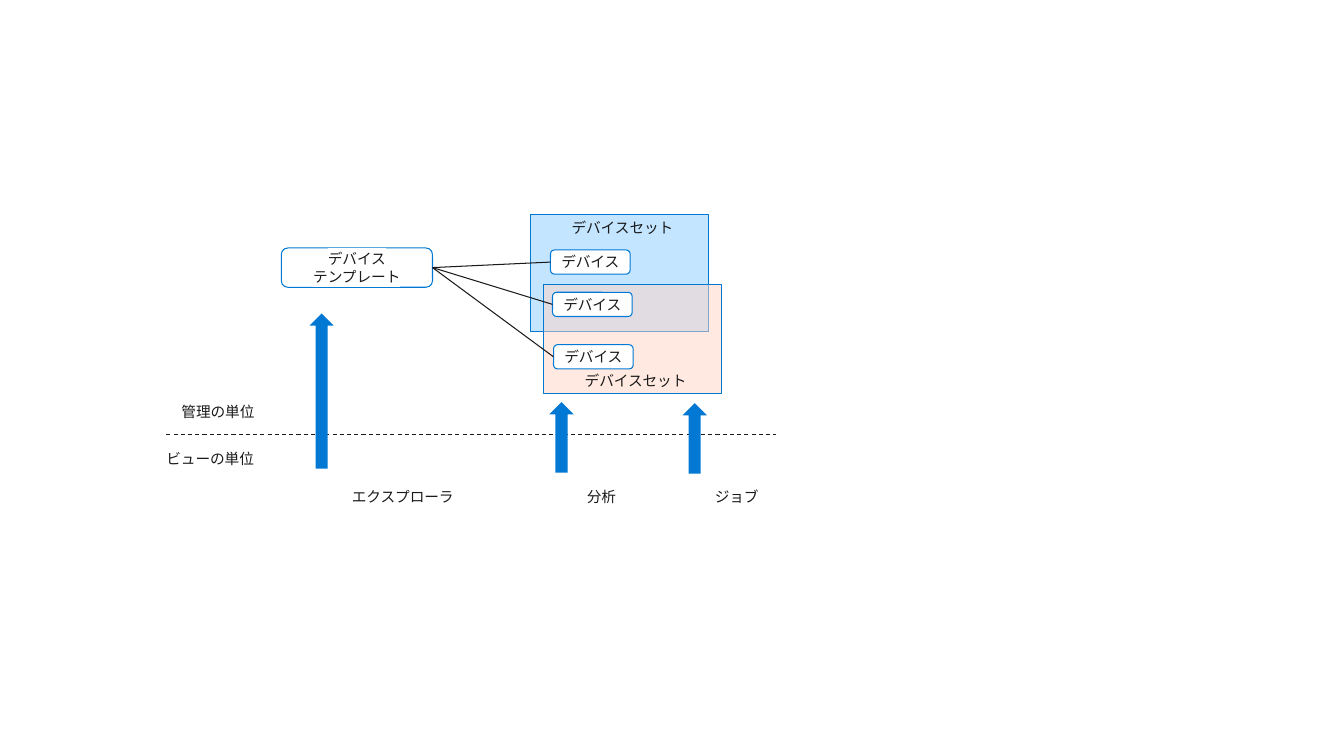
from lxml.etree import SubElement
from pptx import Presentation
from pptx.dml.color import RGBColor
from pptx.enum.dml import MSO_LINE
from pptx.enum.shapes import MSO_CONNECTOR, MSO_SHAPE
from pptx.enum.text import MSO_ANCHOR, MSO_AUTO_SIZE, PP_ALIGN
from pptx.oxml import parse_xml
from pptx.oxml.ns import qn
from pptx.util import Inches, Pt

BLUE, INK, WHITE = "0078D4", "1A1A1A", "FFFFFF"
NS = "http://schemas.openxmlformats.org/drawingml/2006/main"


def color(code):
    return RGBColor.from_string(code)


def write(shape, text, align, anchor, insets, wrap=True, marked=False):
    frame = shape.text_frame
    frame.margin_left, frame.margin_top, frame.margin_right, frame.margin_bottom = map(Inches, insets)
    frame.vertical_anchor, frame.word_wrap = anchor, wrap
    frame.text = text
    frame.paragraphs[0].alignment = align
    for run in frame.paragraphs[0].runs:
        run.font.size = Pt(10.5)
        run.font.color.rgb = color(INK)
        run.font.name = "Lato"
        if marked:
            mark = parse_xml(f'<a:highlight xmlns:a="{NS}"><a:srgbClr val="{WHITE}"/></a:highlight>')
            run.font.fill  # the highlight follows the text fill
            run._r.rPr.find(qn("a:solidFill")).addnext(mark)


def add_box(slide, kind, box, fill=None, line=None):
    shape = slide.shapes.add_shape(kind, *map(Inches, box))
    shape.shadow.inherit = False
    if fill:
        shape.fill.solid()
        shape.fill.fore_color.rgb = color(fill)
    else:
        shape.fill.background()
    if line:
        shape.line.color.rgb = color(line)
        shape.line.width = Pt(0.75)
    else:
        shape.line.fill.background()
    return shape


def add_set(slide, box, fill, anchor, alpha=None):
    shape = add_box(slide, MSO_SHAPE.ROUNDED_RECTANGLE, box, fill, BLUE)
    shape.adjustments[0] = 0
    if alpha:
        tint = shape._element.spPr.find(qn("a:solidFill"))[0]
        SubElement(tint, qn("a:alpha")).set("val", str(alpha * 1000))
    write(shape, "デバイスセット", PP_ALIGN.RIGHT, anchor, (0.04, 0.04, 0.35, 0.04))


def add_node(slide, text, box, fill=None, wrap=False):
    shape = add_box(slide, MSO_SHAPE.ROUNDED_RECTANGLE, box, fill, BLUE)
    write(shape, text, PP_ALIGN.CENTER, MSO_ANCHOR.MIDDLE, (0.2, 0.16, 0.2, 0.16), wrap, True)
    return shape


def add_line(slide, start, end):
    line = slide.shapes.add_connector(MSO_CONNECTOR.STRAIGHT, *map(Inches, start + end))
    line.line.color.rgb = color(INK)
    line.line.width = Pt(0.75)
    SubElement(line._element.spPr, qn("a:effectLst"))
    return line


def add_label(slide, text, box):
    label = slide.shapes.add_textbox(*map(Inches, box))
    write(label, text, PP_ALIGN.LEFT, MSO_ANCHOR.TOP, (0, 0, 0, 0), False)
    label.text_frame.auto_size = MSO_AUTO_SIZE.SHAPE_TO_FIT_TEXT


def draw_model(slide, left, top):
    # Overlapping device sets
    add_set(slide, (left + 2.47, top, 1.77, 1.16), "C3E5FF", MSO_ANCHOR.TOP)
    add_set(slide, (left + 2.6, top + 0.69, 1.77, 1.08), "FFD4C4", MSO_ANCHOR.BOTTOM, 50)

    # Template and its devices
    root = add_node(slide, "デバイス\vテンプレート", (left, top + 0.33, 1.5, 0.39), wrap=True)
    spots = [(2.67, 0.35), (2.69, 0.77), (2.7, 1.29)]
    nodes = [add_node(slide, "デバイス", (left + x, top + y, 0.79, 0.24), WHITE) for x, y in spots]
    for node in nodes:
        link = add_line(slide, (0, 0), (1, 1))
        link.begin_connect(root, 3)
        link.end_connect(node, 1)


def draw_views(slide, left, top, width):
    # Divider between the two kinds of unit
    rule = add_line(slide, (left, top), (left + width, top))
    rule.line.dash_style = MSO_LINE.DASH
    add_label(slide, "管理の単位", (left + 0.15, top - 0.31, 0.74, 0.18))
    add_label(slide, "ビューの単位", (left, top + 0.15, 0.88, 0.18))

    # View names with their arrows
    views = [("エクスプローラ", 1.84, 1.03, 1.42, -1.2, 1.54),
             ("分析", 4.17, 0.29, 3.8, -0.32, 0.7),
             ("ジョブ", 5.44, 0.44, 5.12, -0.31, 0.7)]
    for name, x, wide, tip, rise, tall in views:
        add_label(slide, name, (left + x, top + 0.53, wide, 0.18))
        add_box(slide, MSO_SHAPE.UP_ARROW, (left + tip, top + rise, 0.24, tall), BLUE)


def main():
    deck = Presentation()
    deck.slide_width, deck.slide_height = Inches(13.33), Inches(7.5)
    slide = deck.slides.add_slide(deck.slide_layouts[6])
    draw_model(slide, 2.79, 2.13)
    draw_views(slide, 1.65, 4.31, 6.05)
    deck.save("out.pptx")


if __name__ == "__main__":
    main()
